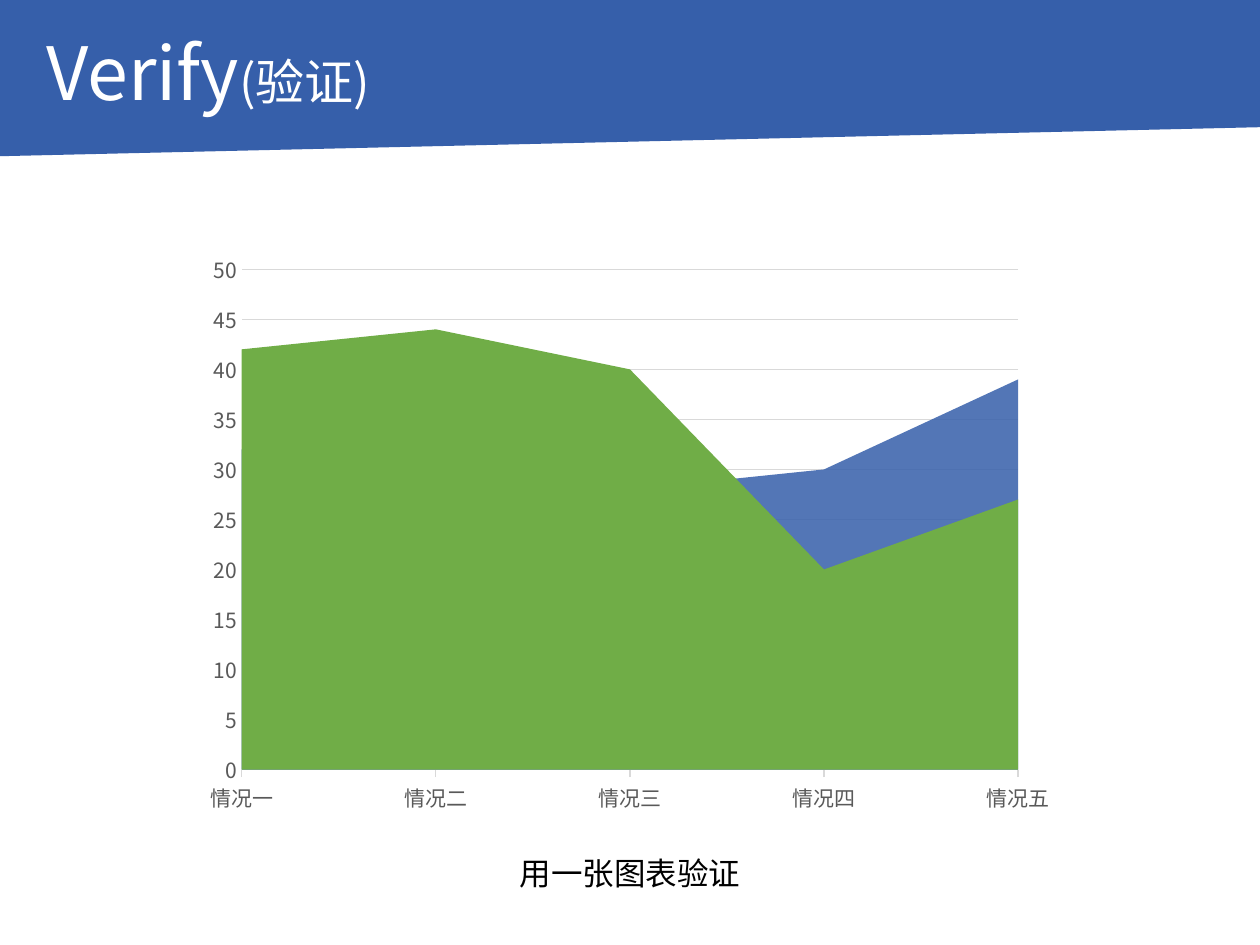
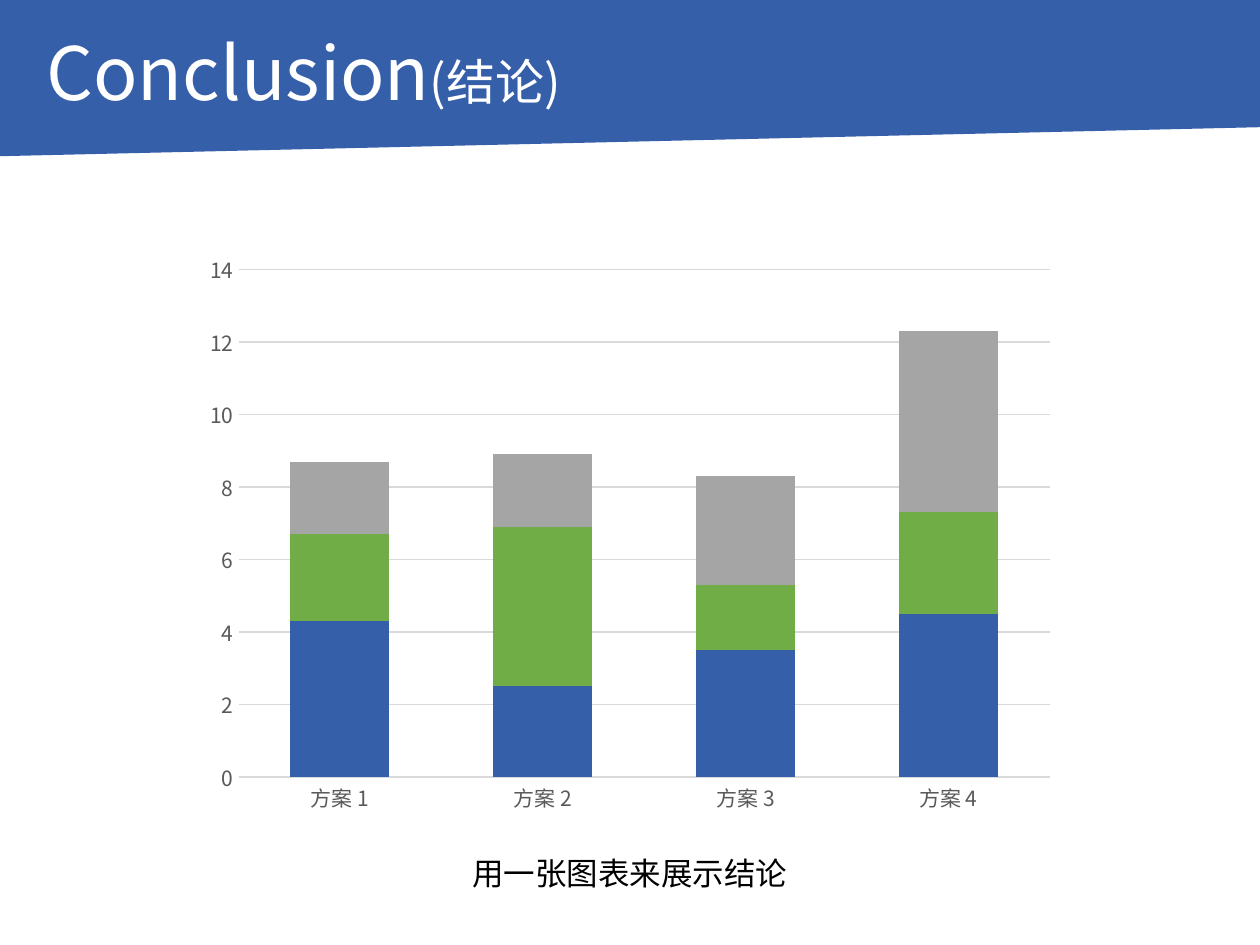
from lxml import etree
from pptx import Presentation
from pptx.chart.data import CategoryChartData
from pptx.dml.color import RGBColor
from pptx.enum.chart import XL_CHART_TYPE, XL_TICK_MARK
from pptx.enum.text import MSO_ANCHOR, PP_ALIGN
from pptx.oxml.ns import qn
from pptx.util import Inches, Pt

AREA, STACKED = XL_CHART_TYPE.AREA, XL_CHART_TYPE.COLUMN_STACKED
TICK_NONE, TICK_OUT = XL_TICK_MARK.NONE, XL_TICK_MARK.OUTSIDE
MIDDLE, LEFT, CENTER = MSO_ANCHOR.MIDDLE, PP_ALIGN.LEFT, PP_ALIGN.CENTER

PAGES = [
    {
        "title": ("Verify", "(验证)"),
        "caption": "用一张图表验证",
        "kind": AREA,
        "categories": ["情况一", "情况二", "情况三", "情况四", "情况五"],
        "series": [
            ("Series 1", [42, 44, 40, 20, 27], "green", 100),
            ("Series 2", [32, 32, 28, 30, 39], "blue", 85),
        ],
        "tick": TICK_OUT,
        "scale": {"minimum_scale": 0, "maximum_scale": 50, "major_unit": 5},
        "plot": {},
    },
    {
        "title": ("Conclusion", "(结论)"),
        "caption": "用一张图表来展示结论",
        "kind": STACKED,
        "categories": ["方案 1", "方案 2", "方案 3", "方案 4"],
        "series": [
            ("Series 1", [4.3, 2.5, 3.5, 4.5], "blue", 100),
            ("Series 2", [2.4, 4.4, 1.8, 2.8], "green", 100),
            ("Series 3", [2, 2, 3, 5], "gray", 100),
        ],
        "tick": TICK_NONE,
        "scale": {"minimum_scale": 0, "maximum_scale": 14, "major_unit": 2},
        "plot": {"gap_width": 105, "overlap": 100},
    },
]

COLORS = {"blue": "365FAA", "green": "70AD47", "gray": "A5A5A5", "grid": "D9D9D9",
          "label": "595959", "white": "FFFFFF", "black": "000000"}
FONT = "Noto Sans CJK SC"
WIDTH, HEIGHT = 10, 7.5
BAND_LEFT, BAND_RIGHT = 1.24, 1.01  # band height at each slide edge
TITLE_BOX = (0.27, 0.27, 9.09, 0.67)
CHART_SIZE = (6.94, 4.63)
CAPTION_SIZE = (8.26, 0.4)


def centered(top, size):
    return ((WIDTH - size[0]) / 2, top, *size)


CHART_BOX = centered(1.92, CHART_SIZE)
CAPTION_BOX = centered(6.73, CAPTION_SIZE)


def rgb(name):
    return RGBColor.from_string(COLORS[name])


def assign(target, values):
    for key, value in values.items():
        setattr(target, key, value)


def style_font(font, size, color):
    """Apply the deck typeface to Latin and East Asian characters alike."""
    assign(font, {"name": FONT, "size": Pt(size)})
    font.color.rgb = rgb(color)
    etree.SubElement(font._rPr, qn("a:ea")).set("typeface", FONT)


def add_band(slide):
    builder = slide.shapes.build_freeform(0, 0, scale=Inches(1) / 100)
    corners = [(WIDTH, 0), (WIDTH, BAND_RIGHT), (0, BAND_LEFT)]
    builder.add_line_segments([(x * 100, y * 100) for x, y in corners], close=True)
    band = builder.convert_to_shape()
    band.shadow.inherit = False
    band.fill.solid()
    band.fill.fore_color.rgb = rgb("blue")
    band.line.fill.background()


def add_text(slide, box, runs, align, line_spacing=1.0):
    frame = slide.shapes.add_textbox(*map(Inches, box)).text_frame
    assign(frame, {"word_wrap": True, "vertical_anchor": MIDDLE})
    paragraph = frame.paragraphs[0]
    assign(paragraph, {"alignment": align, "line_spacing": line_spacing})
    for words, size, color in runs:
        run = paragraph.add_run()
        run.text = words
        style_font(run.font, size, color)


def fill_series(series, color, opacity):
    fill = series.format.fill
    fill.solid()
    fill.fore_color.rgb = rgb(color)
    series.format.line.fill.background()
    if opacity < 100:
        swatch = series._element.find(".//" + qn("a:srgbClr"))
        etree.SubElement(swatch, qn("a:alpha")).set("val", str(opacity * 1000))


def style_line(line):
    line.color.rgb = rgb("grid")
    line.width = Pt(0.75)


def add_chart(slide, page):
    data = CategoryChartData()
    data.categories = page["categories"]
    for name, values, _, _ in page["series"]:
        data.add_series(name, values)
    chart = slide.shapes.add_chart(page["kind"], *map(Inches, CHART_BOX), data).chart
    assign(chart, {"has_legend": False, "has_title": False})
    style_font(chart.font, 10, "black")

    plot = chart.plots[0]
    assign(plot, {"vary_by_categories": False, **page["plot"]})
    for series, (_, _, color, opacity) in zip(plot.series, page["series"]):
        fill_series(series, color, opacity)

    categories, values = chart.category_axis, chart.value_axis
    for axis, tick in ((categories, page["tick"]), (values, TICK_NONE)):
        assign(axis, {"major_tick_mark": tick, "minor_tick_mark": TICK_NONE})
        style_font(axis.tick_labels.font, 12, "label")
    categories.has_major_gridlines = False
    style_line(categories.format.line)
    assign(values, {"has_major_gridlines": True, **page["scale"]})
    style_line(values.major_gridlines.format.line)
    values.format.line.fill.background()
    assign(values.tick_labels, {"number_format": "General",
                                "number_format_is_linked": False})


def main():
    deck = Presentation()
    assign(deck, {"slide_width": Inches(WIDTH), "slide_height": Inches(HEIGHT)})
    for page in PAGES:
        slide = deck.slides.add_slide(deck.slide_layouts[6])
        english, chinese = page["title"]
        add_band(slide)
        add_text(slide, TITLE_BOX, [(english, 42, "white"), (chinese, 28, "white")],
                 LEFT, 0.9)
        add_text(slide, CAPTION_BOX, [(page["caption"], 18, "black")], CENTER)
        add_chart(slide, page)
    deck.save("out.pptx")


if __name__ == "__main__":
    main()
